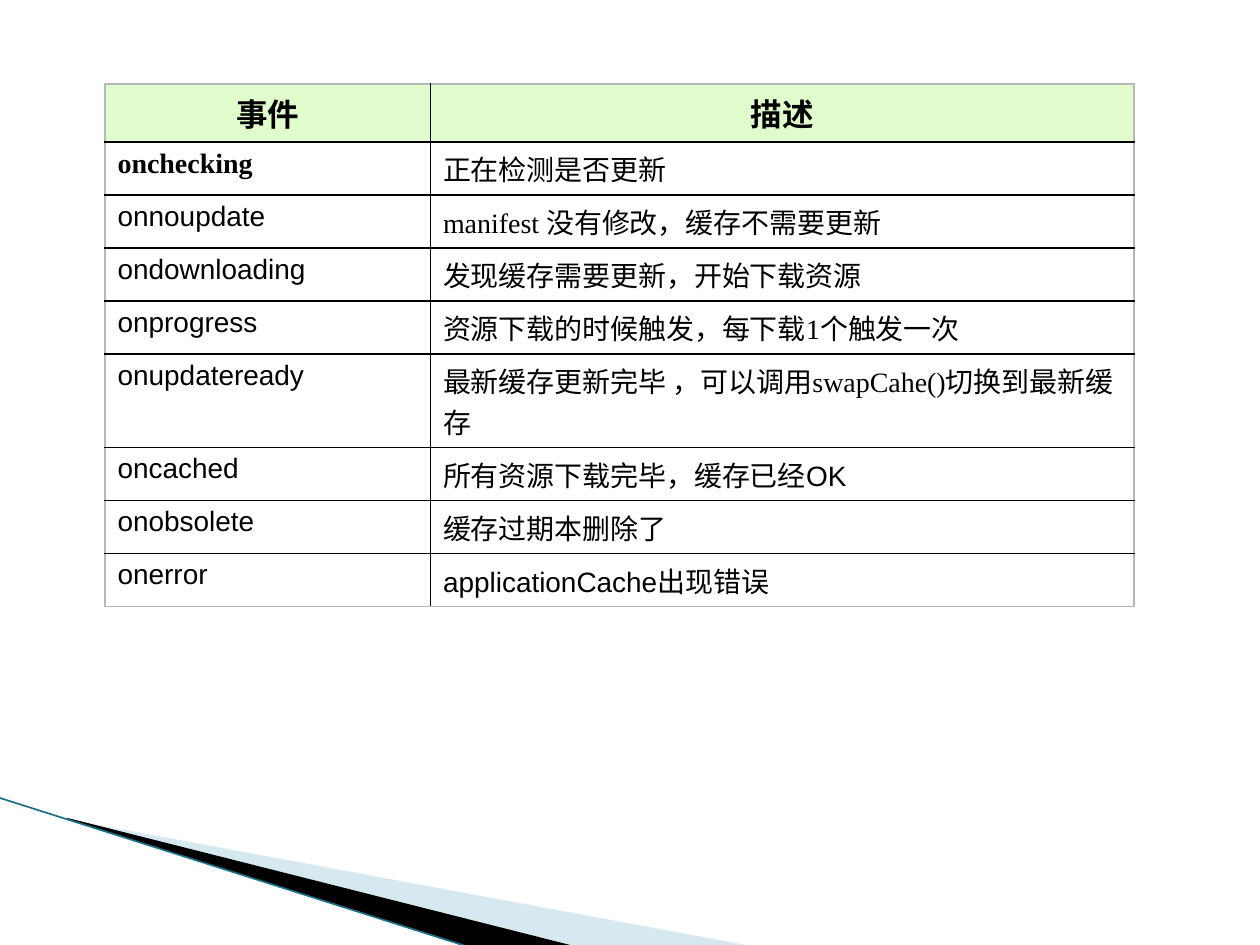
from lxml.etree import SubElement
from pptx import Presentation
from pptx.dml.color import RGBColor
from pptx.enum.shapes import MSO_CONNECTOR
from pptx.enum.text import PP_ALIGN
from pptx.oxml.ns import qn
from pptx.util import Pt

BLACK = RGBColor(0x00, 0x00, 0x00)
GREY = RGBColor(0xB8, 0xB8, 0xB8)
HEADER_GREEN = RGBColor(0xE1, 0xFC, 0xCC)
PALE_BLUE = RGBColor(0xA0, 0xCB, 0xDC)
TEAL = RGBColor(0x1A, 0x70, 0x86)

SANS = "Arial"
SERIF = "Times New Roman"

EVENTS = [
    ("onchecking", "正在检测是否更新", SANS),
    ("onnoupdate", "manifest\u00a0没有修改，缓存不需要更新", SERIF),
    ("ondownloading", "发现缓存需要更新，开始下载资源", SANS),
    ("onprogress", "资源下载的时候触发，每下载1个触发一次", SERIF),
    ("onupdateready", "最新缓存更新完毕 ，可以调用swapCahe()切换到最新缓存", SERIF),
    ("oncached", "所有资源下载完毕，缓存已经OK", SANS),
    ("onobsolete", "缓存过期本删除了", SANS),
    ("onerror", "applicationCache出现错误", SANS),
]


def set_frame(sp, left, top, width, height):
    dx, dy = sp.left - Pt(left), sp.top - Pt(top)
    outline = sp._element.find(".//" + qn("a:path"))
    x_unit = sp.width / int(outline.get("w"))
    y_unit = sp.height / int(outline.get("h"))
    for pt in outline.iter(qn("a:pt")):
        pt.set("x", str(round(int(pt.get("x")) * x_unit + dx)))
        pt.set("y", str(round(int(pt.get("y")) * y_unit + dy)))
    outline.set("w", str(Pt(width)))
    outline.set("h", str(Pt(height)))
    sp.left, sp.top = Pt(left), Pt(top)
    sp.width, sp.height = Pt(width), Pt(height)


def add_wedge(slide, frame, points, color, opacity=100):
    start, *rest = [(round(x * 100), round(y * 100)) for x, y in points]
    builder = slide.shapes.build_freeform(*start, scale=Pt(1) / 100)
    builder.add_line_segments(rest, close=True)
    sp = builder.convert_to_shape()
    set_frame(sp, *frame)
    sp.shadow.inherit = False
    sp.line.fill.background()
    sp.fill.solid()
    sp.fill.fore_color.rgb = color
    if opacity < 100:
        clr = sp._element.spPr.find(".//" + qn("a:srgbClr"))
        SubElement(clr, qn("a:alpha"), val=str(opacity * 1000))


def add_edge(slide, x1, y1, x2, y2, color, width):
    line = slide.shapes.add_connector(
        MSO_CONNECTOR.STRAIGHT, Pt(x1), Pt(y1), Pt(x2), Pt(y2))
    line.line.color.rgb = color
    line.line.width = Pt(width)
    SubElement(line._element.spPr, qn("a:effectLst"))


def set_borders(cell, colors):
    tcPr = cell._tc.get_or_add_tcPr()
    for side, color in zip("LRTB", colors):
        ln = SubElement(tcPr, qn(f"a:ln{side}"), w=str(Pt(1)))
        fill = SubElement(ln, qn("a:solidFill"))
        SubElement(fill, qn("a:srgbClr"), val=str(color))


def fill_cell(cell, text, font, size=16, bold=False, align=PP_ALIGN.LEFT):
    p = cell.text_frame.paragraphs[0]
    p.alignment = align
    r = p.add_run()
    r.text = text
    r.font.name = font
    r.font.size = Pt(size)
    r.font.bold = bold
    r.font.color.rgb = BLACK


def add_event_table(slide):
    rows = len(EVENTS) + 1
    table = slide.shapes.add_table(
        rows, 2, Pt(60), Pt(48), Pt(588), Pt(29.5 * rows)).table
    table.first_row = False
    table.horz_banding = False
    for column, width in zip(table.columns, (186, 402)):
        column.width = Pt(width)
    for i, row in enumerate(table.rows):
        row.height = Pt(29.5)
        for j, cell in enumerate(row.cells):
            outer = (j == 0, j == 1, i == 0, i == rows - 1)
            set_borders(cell, [GREY if edge else BLACK for edge in outer])
            if i == 0:
                cell.fill.solid()
                cell.fill.fore_color.rgb = HEADER_GREEN
            else:
                cell.fill.background()
    for j, title in enumerate(("事件", "描述")):
        fill_cell(table.cell(0, j), title, SANS, 18, True, PP_ALIGN.CENTER)
    for i, (event, description, font) in enumerate(EVENTS, 1):
        first = i == 1
        fill_cell(table.cell(i, 0), event, SERIF if first else SANS, bold=first)
        fill_cell(table.cell(i, 1), description, font)


def main():
    prs = Presentation()
    prs.slide_width, prs.slide_height = Pt(720), Pt(540)
    slide = prs.slides.add_slide(prs.slide_layouts[6])
    add_wedge(slide, (56.2, 393.8, 299.5, 113.8),
              [(39.6, 468.4), (428.4, 540.4), (328.3, 540.4), (39.6, 468)],
              PALE_BLUE, 41)
    add_wedge(slide, (-4.3, 455.8, 299.5, 66.2),
              [(38.2, 467.3), (328.7, 540.7), (267.8, 541.4), (38.9, 468)],
              BLACK)
    add_edge(slide, -0.7, 455.8, 267.5, 541, TEAL, 0.95)
    add_event_table(slide)
    prs.save("out.pptx")


main()
